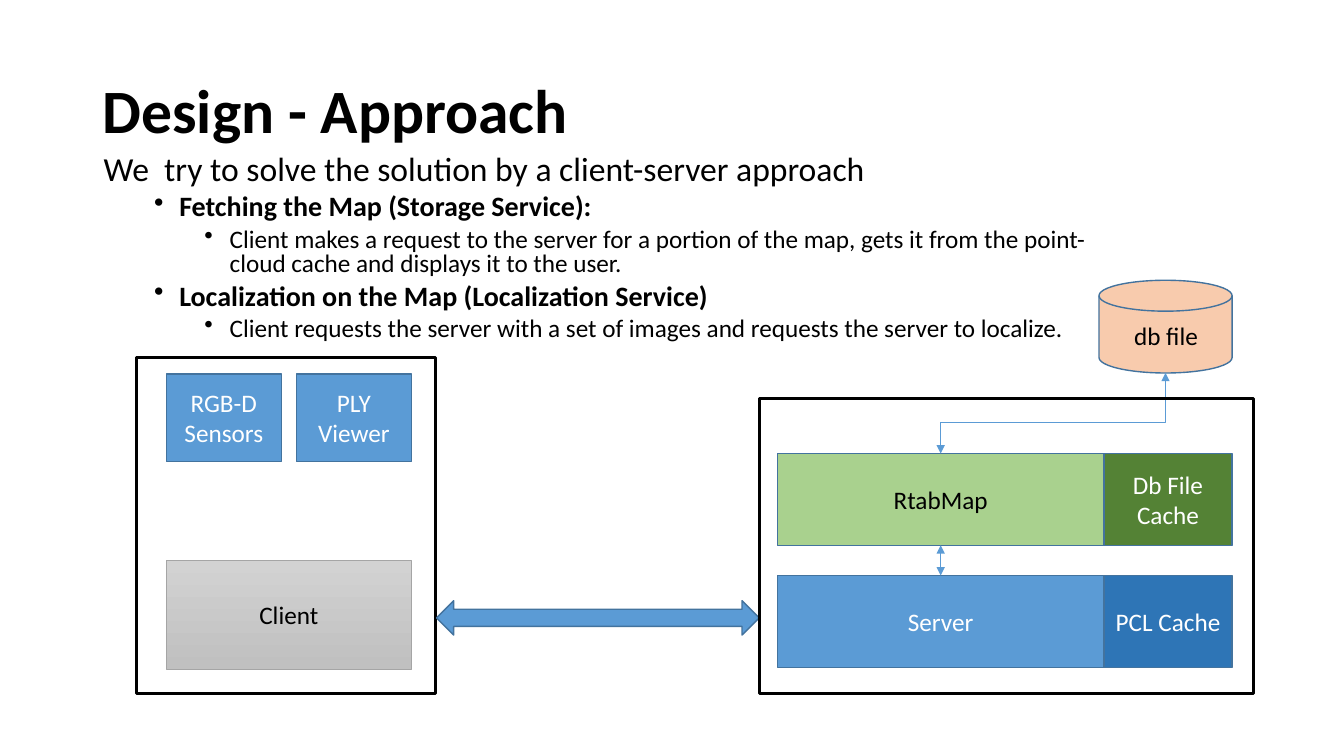
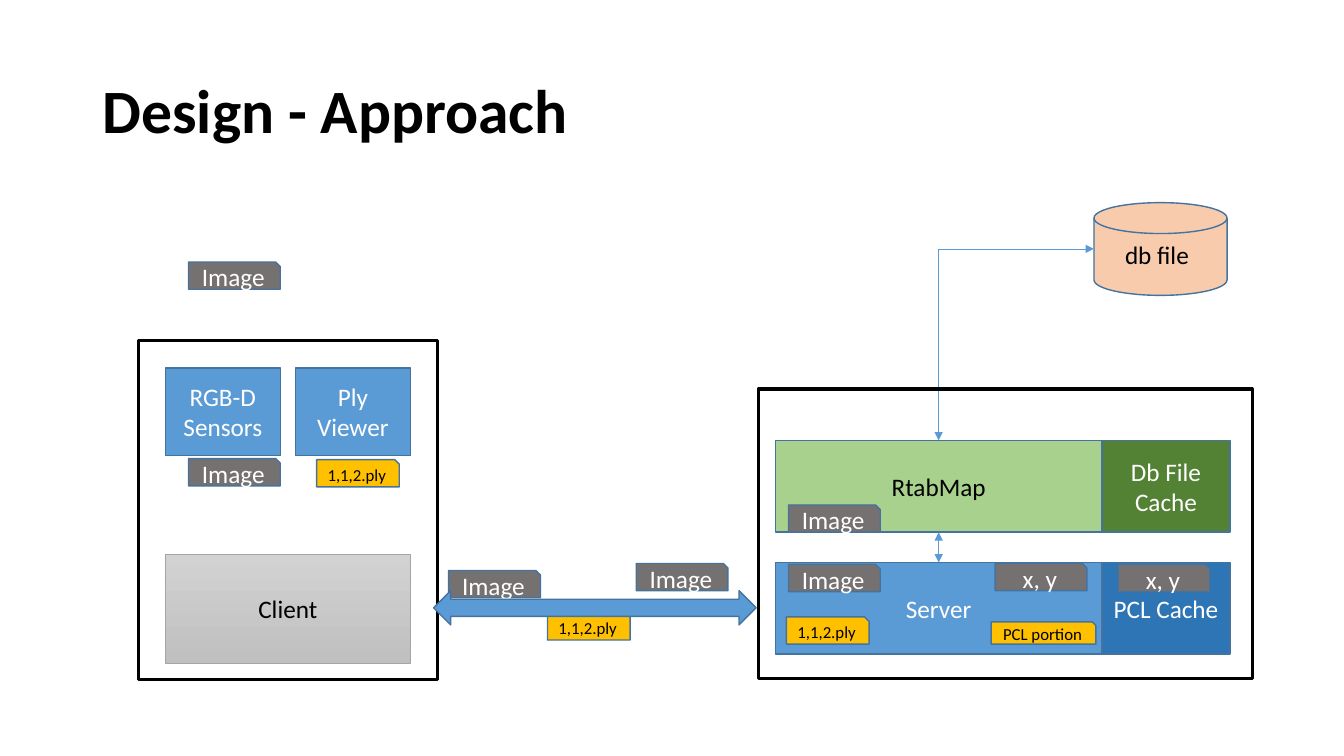
"""Build two slides that explain a client-server design for map localization."""
from dataclasses import dataclass
from typing import Any, Optional

from lxml import etree
from pptx import Presentation
from pptx import util as u
from pptx.dml import color
from pptx.enum import shapes, text
from pptx.oxml import ns

FONT = "Calibri"
BLACK, WHITE = "000000", "FFFFFF"
BLUE, DARK_BLUE, EDGE = "5B9BD5", "2E75B6", "43739E"
GREEN, DARK_GREEN = "A9D18E", "548235"
PEACH, GREY, AMBER = "F8CBAD", "767171", "FFC000"
SILVER, SILVER_DARK, SILVER_EDGE = "D2D2D2", "C0C0C0", "A5A5A5"
TILE_W, TILE_H, TILE_STEP = 1.14, 0.87, 1.29
CLIENT_W, CLIENT_H, CLIENT_DROP = 2.43, 1.08, 1.85
ROW_W, CACHE_W, ROW_H, ROW_STEP = 3.24, 1.27, 0.91, 1.21
DRUM_W, DRUM_H = 0.92, 1.32
LINK_W, LINK_H = 3.2, 0.34
RECT = shapes.MSO_SHAPE.RECTANGLE


@dataclass(frozen=True)
class Box:
    x: float
    y: float
    w: float
    h: float


@dataclass(frozen=True)
class Tag:
    label: str
    x: float
    y: float
    w: float = 0.91
    h: float = 0.27
    fill: str = GREY
    size: int = 18
    ink: str = WHITE


def file_tag(label: str, x: float, y: float, w: float = 0.82, h: float = 0.27) -> Tag:
    return Tag(label, x, y, w, h, AMBER, 12, BLACK)


@dataclass(frozen=True)
class Diagram:
    viewer: str
    client_frame: Box
    server_frame: Box
    client: tuple[float, float]
    server: tuple[float, float]
    link: tuple[float, float]
    drum: tuple[float, float]
    drum_label: Box
    db_end: tuple[float, float]
    bend: Optional[float] = None
    client_tags: tuple[Tag, ...] = ()
    server_tags: tuple[Tag, ...] = ()


@dataclass(frozen=True)
class Line:
    label: str
    level: int
    size: int
    bold: bool = False


BODY = (
    Line("We  try to solve the solution by a client-server approach", 0, 24),
    Line("Fetching the Map (Storage Service):", 1, 20, True),
    Line("Client makes a request to the server for a portion of the map, "
         "gets it from the point-cloud cache and displays it to the user.", 2, 18),
    Line("Localization on the Map (Localization Service)", 1, 20, True),
    Line("Client requests the server with a set of images and requests "
         "the server to localize.", 2, 18),
)

OVERVIEW = Diagram(
    viewer="PLY Viewer",
    client_frame=Box(1.35, 3.55, 2.97, 3.33), server_frame=Box(7.53, 3.95, 4.9, 2.93),
    client=(1.65, 3.71), server=(7.71, 4.5), link=(4.33, 5.96),
    drum=(11.1, 2.58), drum_label=Box(11.15, 3.13, 1.07, 0.4),
    db_end=(11.56, 3.7), bend=0.386,
)

DATA_FLOW = Diagram(
    viewer="Ply Viewer",
    client_frame=Box(1.37, 3.38, 2.97, 3.36), server_frame=Box(7.52, 3.86, 4.9, 2.87),
    client=(1.64, 3.65), server=(7.69, 4.37), link=(4.3, 5.86),
    drum=(11.05, 1.81), drum_label=Box(11.06, 2.33, 1.41, 0.4),
    db_end=(10.85, 2.47),
    client_tags=(
        Tag("Image", 1.87, 2.6), Tag("Image", 1.87, 4.55),
        Tag("Image", 4.45, 5.66), Tag("Image", 6.31, 5.59),
        file_tag("1,1,2.ply", 5.43, 6.08), file_tag("1,1,2.ply", 3.14, 4.56),
    ),
    server_tags=(
        file_tag("PCL portion", 9.83, 6.17, 1.04, 0.22), file_tag("1,1,2.ply", 7.8, 6.12),
        Tag("Image", 7.82, 5.6), Tag("Image", 7.82, 5.01),
        Tag("x, y", 9.87, 5.59), Tag("x, y", 11.09, 5.6),
    ),
)


def rgb(value: str) -> color.RGBColor:
    return color.RGBColor.from_string(value)


def lengths(box: Box) -> tuple[int, ...]:
    return tuple(u.Inches(v) for v in (box.x, box.y, box.w, box.h))


def style(p: Any, size: int, ink: str = BLACK, bold: bool = False) -> None:
    p.font.name, p.font.size, p.font.bold = FONT, u.Pt(size), bold
    p.font.color.rgb = rgb(ink)


def add_box(s: Any, kind: Any, box: Box, fill: Optional[str], label: str = "",
            ink: str = WHITE, size: int = 18, edge: str = EDGE, weight: float = 1) -> Any:
    sp = s.shapes.add_shape(kind, *lengths(box))
    sp.shadow.inherit = False
    if fill:
        sp.fill.solid()
        sp.fill.fore_color.rgb = rgb(fill)
    else:
        sp.fill.background()
    sp.line.color.rgb, sp.line.width = rgb(edge), u.Pt(weight)
    if label:
        tf = sp.text_frame
        tf.word_wrap, tf.vertical_anchor = True, text.MSO_ANCHOR.MIDDLE
        p = tf.paragraphs[0]
        p.text, p.alignment = label, text.PP_ALIGN.CENTER
        style(p, size, ink)
    return sp


def add_text(s: Any, box: Box, label: str, size: int, bold: bool = False) -> Any:
    tf = s.shapes.add_textbox(*lengths(box)).text_frame
    tf.word_wrap = True
    tf.paragraphs[0].text = label
    style(tf.paragraphs[0], size, bold=bold)
    return tf


def add_arrow(s: Any, kind: Any, x1: float, y1: float, x2: float, y2: float) -> Any:
    c = s.shapes.add_connector(kind, *(u.Inches(v) for v in (x1, y1, x2, y2)))
    c.line.color.rgb, c.line.width = rgb(BLUE), u.Pt(0.5)
    pr = c._element.spPr
    for end in ("a:headEnd", "a:tailEnd"):
        etree.SubElement(pr.find(ns.qn("a:ln")), ns.qn(end), type="triangle")
    etree.SubElement(pr, ns.qn("a:effectLst"))
    return c


def add_elbow(s: Any, start: tuple[float, float], end: tuple[float, float],
              bend: Optional[float]) -> None:
    cx, cy = (start[0] + end[0]) / 2, (start[1] + end[1]) / 2
    dx, dy = (end[0] - start[0]) / 2, (start[1] - end[1]) / 2
    c = add_arrow(s, shapes.MSO_CONNECTOR.ELBOW, cx + dy, cy + dx, cx - dy, cy - dx)
    pr = c._element.spPr
    pr.find(ns.qn("a:xfrm")).set("rot", "5400000")
    geom = pr.find(ns.qn("a:prstGeom"))
    if bend is None:
        geom.set("prst", "bentConnector2")
    else:
        etree.SubElement(geom.find(ns.qn("a:avLst")), ns.qn("a:gd"),
                         name="adj1", fmla=f"val {round(bend * 100000)}")


def add_tags(s: Any, tags: tuple[Tag, ...]) -> None:
    for t in tags:
        add_box(s, shapes.MSO_SHAPE.SNIP_1_RECTANGLE, Box(t.x, t.y, t.w, t.h),
                t.fill, t.label, t.ink, t.size)


def add_frame(s: Any, box: Box) -> None:
    add_box(s, RECT, box, None, edge=BLACK, weight=2.25)


def add_client(s: Any, d: Diagram) -> None:
    x, y = d.client
    sp = add_box(s, RECT, Box(x, y + CLIENT_DROP, CLIENT_W, CLIENT_H), SILVER,
                 "Client", BLACK, edge=SILVER_EDGE, weight=0.5)
    sp.fill.gradient()
    sp.fill.gradient_angle = 270
    for stop, shade in zip(sp.fill.gradient_stops, (SILVER, SILVER_DARK)):
        stop.color.rgb = rgb(shade)
    for i, label in enumerate(("RGB-D Sensors", d.viewer)):
        add_box(s, RECT, Box(x + i * TILE_STEP, y, TILE_W, TILE_H), BLUE, label)
    add_frame(s, d.client_frame)


def add_server(s: Any, d: Diagram) -> None:
    x, y = d.server
    rows = (("RtabMap", GREEN, BLACK, "Db File Cache", DARK_GREEN),
            ("Server", BLUE, WHITE, "PCL Cache", DARK_BLUE))
    for i, (name, fill, ink, cache, cache_fill) in enumerate(rows):
        top = y + i * ROW_STEP
        add_box(s, RECT, Box(x, top, ROW_W, ROW_H), fill, name, ink)
        add_box(s, RECT, Box(x + ROW_W, top, CACHE_W, ROW_H), cache_fill, cache)
    drum = add_box(s, shapes.MSO_SHAPE.FLOWCHART_DIRECT_ACCESS_STORAGE,
                   Box(*d.drum, DRUM_W, DRUM_H), PEACH)
    drum.rotation = 270
    tf = add_text(s, d.drum_label, "db file", 18)
    tf.auto_size = text.MSO_AUTO_SIZE.SHAPE_TO_FIT_TEXT
    mid = x + ROW_W / 2
    add_elbow(s, (mid, y), d.db_end, d.bend)
    add_arrow(s, shapes.MSO_CONNECTOR.STRAIGHT, mid, y + ROW_STEP, mid, y + ROW_H)
    add_frame(s, d.server_frame)


def add_body(s: Any) -> None:
    tf = add_text(s, Box(0.93, 1.5, 10.16, 2.06), BODY[0].label, BODY[0].size)
    for i, line in enumerate(BODY):
        p = tf.add_paragraph() if i else tf.paragraphs[0]
        p.text, p.level, p.line_spacing = line.label, line.level, 0.8
        p.space_before = u.Pt(5 if line.level else 10)
        style(p, line.size, bold=line.bold)
        if line.level:
            pr = p._p.get_or_add_pPr()
            pr.set("marL", str(u.Inches(0.25 + 0.5 * line.level)))
            pr.set("indent", str(u.Inches(-0.25)))
            bullet = etree.Element(ns.qn("a:buChar"), char="•")
            pr.find(ns.qn("a:defRPr")).addprevious(bullet)


def add_slide(prs: Any, d: Diagram, with_body: bool) -> None:
    s = prs.slides.add_slide(prs.slide_layouts[6])
    tf = add_text(s, Box(0.92, 0.4, 11.5, 1.45), "Design - Approach", 44, True)
    tf.vertical_anchor, tf.paragraphs[0].line_spacing = text.MSO_ANCHOR.MIDDLE, 0.9
    if with_body:
        add_body(s)
    add_client(s, d)
    add_tags(s, d.client_tags)
    add_box(s, shapes.MSO_SHAPE.LEFT_RIGHT_ARROW, Box(*d.link, LINK_W, LINK_H), BLUE)
    add_server(s, d)
    add_tags(s, d.server_tags)


def main() -> None:
    prs = Presentation()
    prs.slide_width, prs.slide_height = u.Inches(13.33), u.Inches(7.5)
    add_slide(prs, OVERVIEW, True)
    add_slide(prs, DATA_FLOW, False)
    prs.save("out.pptx")


main()
